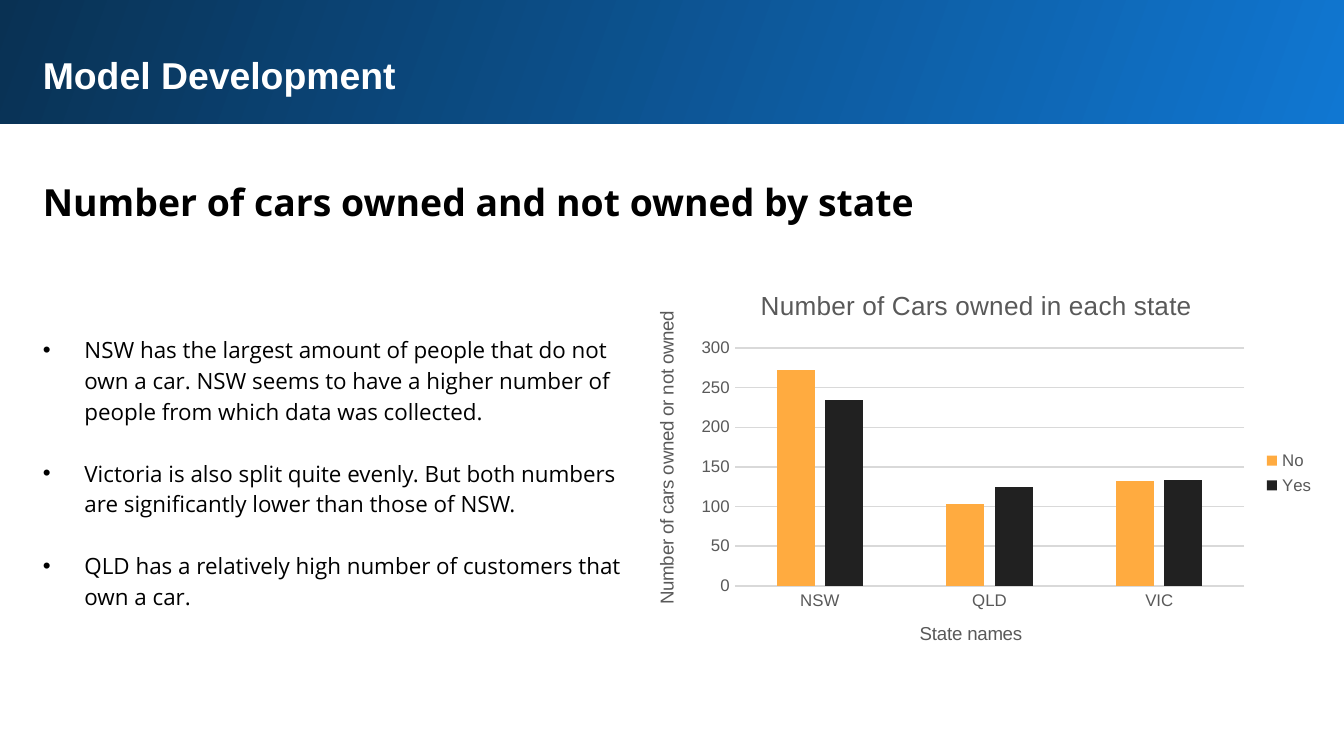
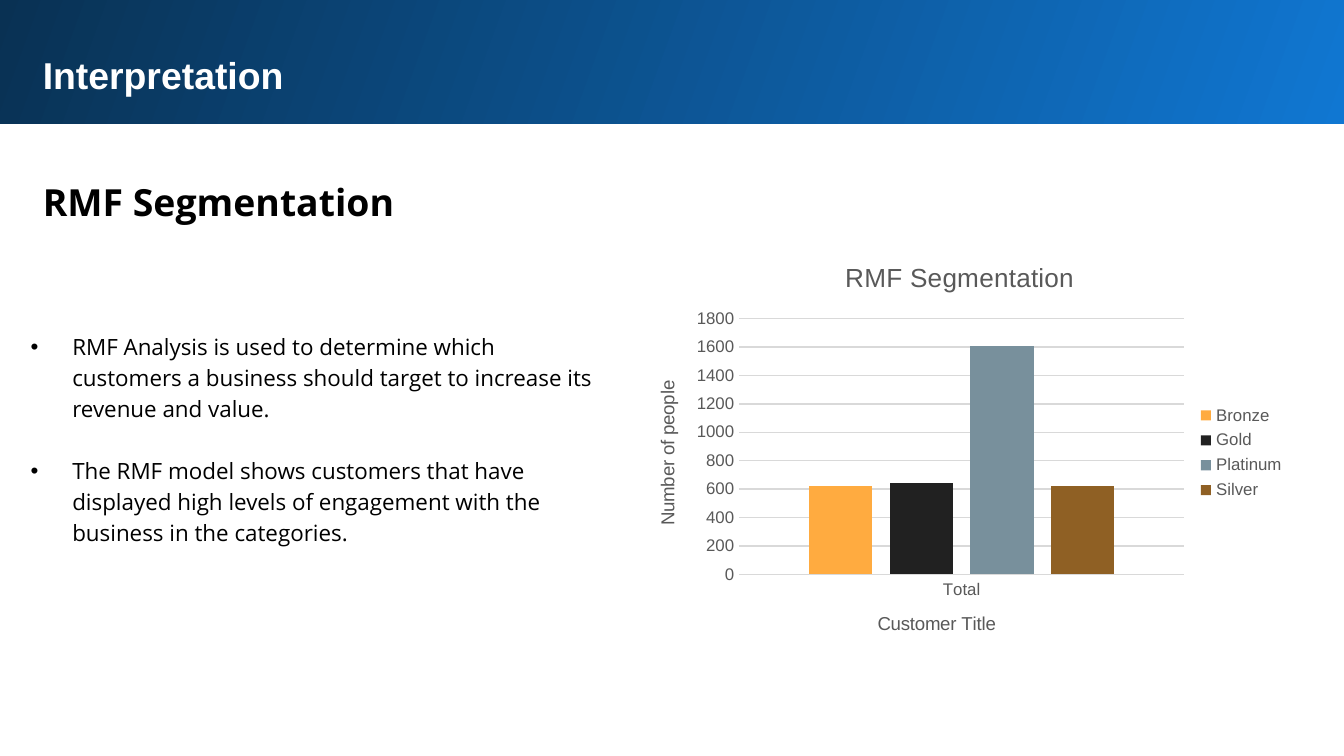
from lxml import etree
from pptx import Presentation
from pptx.chart.data import CategoryChartData
from pptx.dml.color import RGBColor
from pptx.enum.chart import XL_CHART_TYPE, XL_LEGEND_POSITION, XL_TICK_MARK
from pptx.enum.shapes import MSO_SHAPE
from pptx.enum.text import MSO_AUTO_SIZE
from pptx.oxml.ns import qn
from pptx.util import Inches, Pt

COLUMNS = XL_CHART_TYPE.COLUMN_CLUSTERED
LEGEND_RIGHT = XL_LEGEND_POSITION.RIGHT
NO_TICK = XL_TICK_MARK.NONE
RECTANGLE = MSO_SHAPE.RECTANGLE
GROW = MSO_AUTO_SIZE.SHAPE_TO_FIT_TEXT

HEAD_FONT, BODY_FONT = "Arial", "Open Sans"
WHITE, BLACK, GREY, GRID = "FFFFFF", "000000", "595959", "D9D9D9"
BRIGHT_BLUE, NAVY = "1077D2", "093153"
SERIES_COLORS = ("FFAB40", "212121", "78909C", "8F6024")

BAND_BOX = (-0.03, 0, 10.05, 0.92)
TITLE_BOX = (0.22, 0.29, 9.37, 0.54)
HEADING_BOX = (0.22, 1.18, 9.37, 0.56)
LINE_SPACING = 1.15
BULLET_INDENT = 0.31
BULLET_GAP = 16.6

# Layout entries are fractions of the chart box.
SLIDES = [
    {
        "title": "Model Development",
        "heading": "Number of cars owned and not owned by state",
        "bullet_box": (0.22, 2.37, 4.52, 2.28),
        "bullets": [
            "NSW has the largest amount of people that do not own a car. "
            "NSW seems to have a higher number of people from which data was collected.",
            "Victoria is also split quite evenly. But both numbers are "
            "significantly lower than those of NSW.",
            "QLD has a relatively high number of customers that own a car.",
        ],
        "chart_box": (4.69, 2.02, 5.19, 3),
        "chart": {
            "title": ("Number of Cars owned in each state", (0.18, 0.03)),
            "category_title": ("State names", (0.41, 0.86)),
            "value_title": ("Number of cars owned or not owned", (0.03, 0.09)),
            "plot": (0.15, 0.19, 0.73, 0.59),
            "scale": (300, 50),
            "categories": ["NSW", "QLD", "VIC"],
            "series": {"No": (272, 103, 132), "Yes": (234, 125, 133)},
        },
    },
    {
        "title": "Interpretation",
        "heading": "RMF Segmentation",
        "bullet_box": (0.13, 2.35, 4.5, 2.05),
        "bullets": [
            "RMF Analysis is used to determine which customers a business "
            "should target to increase its revenue and value.",
            "The RMF model shows customers that have displayed high levels of "
            "engagement with the business in the categories.",
        ],
        "chart_box": (4.65, 1.81, 5.01, 3.12),
        "chart": {
            "title": ("RMF Segmentation", (0.32, 0.03)),
            "category_title": ("Customer Title", (0.37, 0.87)),
            "value_title": ("Number of people", (0.04, 0.32)),
            "plot": (0.17, 0.18, 0.66, 0.61),
            "scale": (1800, 200),
            "categories": ["Total"],
            "series": {"Bronze": (620,), "Gold": (640,),
                       "Platinum": (1610,), "Silver": (620,)},
        },
    },
]


def rgb(value):
    return RGBColor.from_string(value)


def inches(box):
    return [Inches(length) for length in box]


def style_font(font, size, color, name=HEAD_FONT, bold=False):
    font.size = Pt(size)
    font.color.rgb = rgb(color)
    font.name = name
    font.bold = bold


def add_text(page, box, lines, size, color, name, bold=False, spacing=None):
    """Add a text box with one paragraph per line and return its paragraphs."""
    frame = page.shapes.add_textbox(*inches(box)).text_frame
    frame.word_wrap = True
    frame.auto_size = GROW
    frame.margin_left = frame.margin_right = Inches(0.1)
    frame.margin_top = frame.margin_bottom = Inches(0.1)
    frame.text = "\n".join(lines)
    for para in frame.paragraphs:
        if spacing:
            para.line_spacing = spacing
        for span in para.runs:
            style_font(span.font, size, color, name, bold)
    return frame.paragraphs


def add_header(page, title):
    band = page.shapes.add_shape(RECTANGLE, *inches(BAND_BOX))
    band.shadow.inherit = False
    band.line.fill.background()
    band.fill.gradient()
    band.fill.gradient_angle = 160
    for stop, color in zip(band.fill.gradient_stops, (BRIGHT_BLUE, NAVY)):
        stop.color.rgb = rgb(color)
    add_text(page, TITLE_BOX, [title], 20, WHITE, HEAD_FONT, bold=True)


def add_bullets(page, box, lines):
    paras = add_text(page, box, lines, 12, BLACK, BODY_FONT, spacing=LINE_SPACING)
    for index, para in enumerate(paras):
        if index:
            para.space_before = Pt(BULLET_GAP)
        properties = para._p.get_or_add_pPr()
        properties.set("marL", str(Inches(BULLET_INDENT)))
        properties.set("indent", str(-Inches(BULLET_INDENT)))
        etree.SubElement(properties, qn("a:buFont"), typeface=HEAD_FONT)
        etree.SubElement(properties, qn("a:buChar"), char="•")


def set_layout(element, fractions, inner=False):
    """Place a chart part by x, y and, if given, width and height fractions."""
    layout = element.find(qn("c:layout"))
    if layout is None:
        layout = etree.Element(qn("c:layout"))
        element.insert(0, layout)
    manual = etree.SubElement(layout, qn("c:manualLayout"))
    if inner:
        etree.SubElement(manual, qn("c:layoutTarget"), val="inner")
    for key in ("xMode", "yMode"):
        etree.SubElement(manual, qn(f"c:{key}"), val="edge")
    for key, fraction in zip("xywh", fractions):
        etree.SubElement(manual, qn(f"c:{key}"), val=str(fraction))


def set_chart_title(title, text, position, size):
    title.text_frame.text = text
    style_font(title.text_frame.paragraphs[0].runs[0].font, size, GREY)
    set_layout(title.element, position)


def style_axis(axis, title):
    axis.major_tick_mark = axis.minor_tick_mark = NO_TICK
    style_font(axis.tick_labels.font, 9, GREY)
    set_chart_title(axis.axis_title, *title, 10)


def style_line(line):
    line.color.rgb = rgb(GRID)
    line.width = Pt(0.75)


def add_column_chart(page, box, content):
    data = CategoryChartData()
    data.categories = content["categories"]
    for name, values in content["series"].items():
        data.add_series(name, values)
    chart = page.shapes.add_chart(COLUMNS, *inches(box), data).chart
    style_font(chart.font, 10, BLACK)

    set_chart_title(chart.chart_title, *content["title"], 14)
    plot_area = chart.chart_title.element.getparent().find(qn("c:plotArea"))
    set_layout(plot_area, content["plot"], inner=True)

    style_axis(chart.category_axis, content["category_title"])
    style_line(chart.category_axis.format.line)
    value_axis = chart.value_axis
    style_axis(value_axis, content["value_title"])
    value_axis.format.line.fill.background()
    value_axis.minimum_scale = 0
    value_axis.maximum_scale, value_axis.major_unit = content["scale"]
    style_line(value_axis.major_gridlines.format.line)

    chart.has_legend = True
    chart.legend.position = LEGEND_RIGHT
    chart.legend.include_in_layout = False
    style_font(chart.legend.font, 9, GREY)

    plot = chart.plots[0]
    plot.gap_width, plot.overlap = 219, -27
    plot.vary_by_categories = False
    for series, color in zip(plot.series, SERIES_COLORS):
        series.format.fill.solid()
        series.format.fill.fore_color.rgb = rgb(color)


def add_chart_slide(deck, content):
    page = deck.slides.add_slide(deck.slide_layouts[6])
    page.background.fill.solid()
    page.background.fill.fore_color.rgb = rgb(WHITE)
    add_header(page, content["title"])
    add_text(page, HEADING_BOX, [content["heading"]], 20, BLACK, BODY_FONT,
             bold=True, spacing=LINE_SPACING)
    add_bullets(page, content["bullet_box"], content["bullets"])
    add_column_chart(page, content["chart_box"], content["chart"])


def main():
    deck = Presentation()
    deck.slide_width = Inches(10)
    deck.slide_height = Inches(10 * 9 / 16)
    for content in SLIDES:
        add_chart_slide(deck, content)
    deck.save("out.pptx")


if __name__ == "__main__":
    main()
